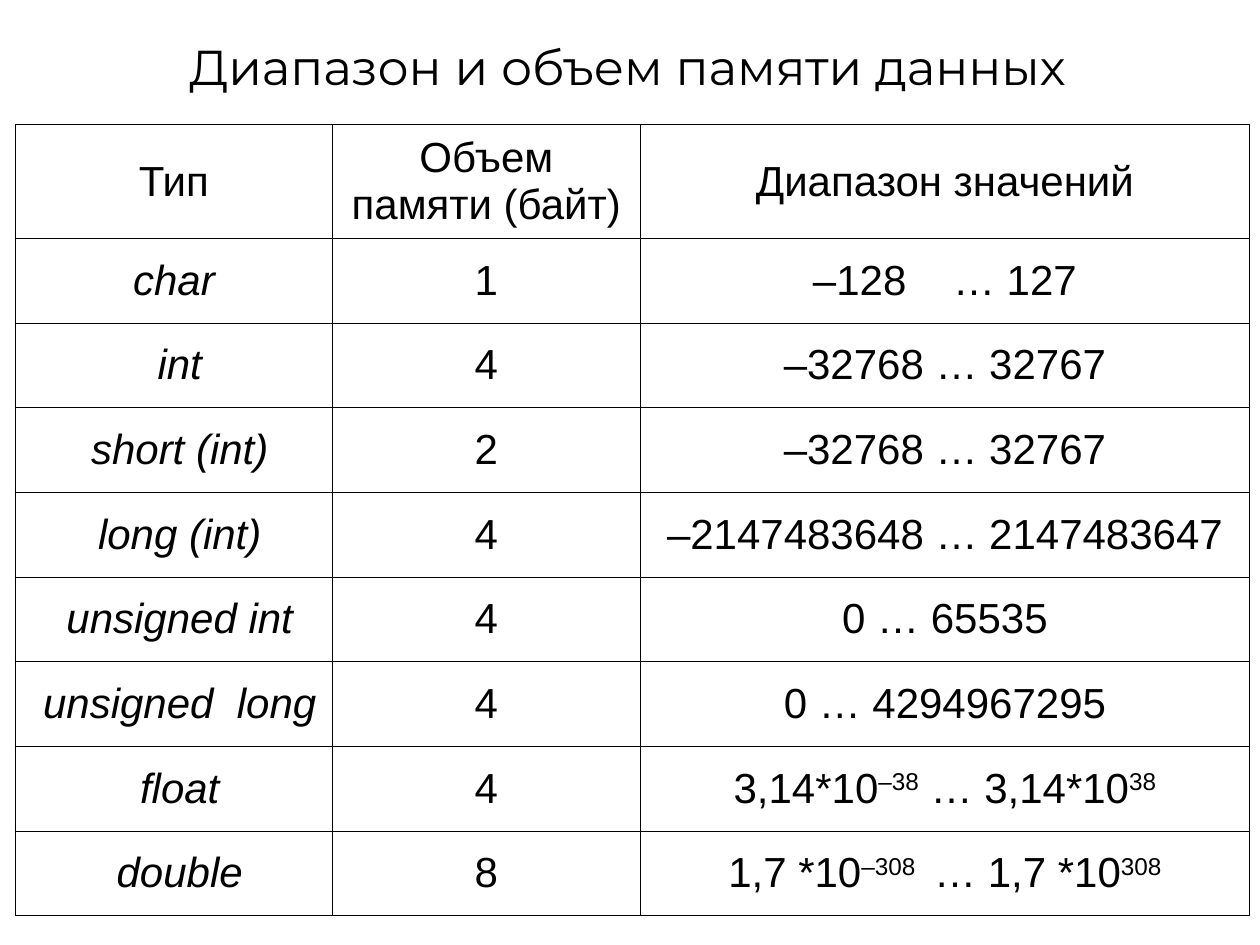
import dataclasses
import typing

import lxml.etree
import pptx
import pptx.dml.color
import pptx.enum.text
import pptx.oxml.ns
import pptx.util

WIDE, HIGH = 10, 7.5
INK = "000000"
SPACE = 6.67


@dataclasses.dataclass
class Run:
    text: str
    base: int = 0
    gap: float = 0


@dataclasses.dataclass
class Entry:
    kind: str
    size: str
    span: list[Run]
    lead: float = SPACE


def power(num: str, exp: str, gap: float = 0) -> list[Run]:
    return [Run(f"{num}*10"), Run(f"–{exp}", 30), Run(" ", 0, gap),
            Run(f"… {num}*10"), Run(exp, 30)]


HEAD = ["Тип", "Объем памяти (байт)", "Диапазон значений"]
ROWS = [
    Entry("char", "1", [Run("–128"), Run(" ", 0, 3 * SPACE), Run("… 127")], 0),
    Entry("int", "4", [Run("–32768 … 32767")]),
    Entry("short (int)", "2", [Run("–32768 … 32767")]),
    Entry("long (int)", "4", [Run("–2147483648 … 2147483647")]),
    Entry("unsigned int", "4", [Run("0 … 65535")]),
    Entry("unsigned long", "4", [Run("0 … 4294967295")]),
    Entry("float", "4", power("3,14", "38")),
    Entry("double", "8", power("1,7 ", "308", 4)),
]
COLS = [0.252, 0.244, 0.484]
TOP, TALL, FIRST = 0.132, 0.837, 0.12


def hue(code: str) -> pptx.dml.color.RGBColor:
    return pptx.dml.color.RGBColor.from_string(code)


def across(part: float) -> int:
    return pptx.util.Inches(part * WIDE)


def down(part: float) -> int:
    return pptx.util.Inches(part * HIGH)


def assign(item: typing.Any, form: dict[str, typing.Any]) -> None:
    for name, value in form.items():
        setattr(item, name, value)


def write(para: typing.Any, runs: list[Run], form: dict[str, typing.Any]) -> None:
    para.alignment = pptx.enum.text.PP_ALIGN.CENTER
    for part in runs:
        run = para.add_run()
        run.text = part.text
        assign(run.font, form)
        run.font.color.rgb = hue(INK)
        props = run.font._element
        if part.base:
            props.set("baseline", str(part.base * 1000))
        if part.gap:
            props.set("spc", str(round(part.gap * 100)))


def border(cell: typing.Any) -> None:
    props = cell._tc.get_or_add_tcPr()
    for spot, side in enumerate(("lnL", "lnR", "lnT", "lnB")):
        line = lxml.etree.Element(pptx.oxml.ns.qn(f"a:{side}"), w=str(pptx.util.Pt(0.45)))
        fill = lxml.etree.SubElement(line, pptx.oxml.ns.qn("a:solidFill"))
        lxml.etree.SubElement(fill, pptx.oxml.ns.qn("a:srgbClr"), val=INK)
        props.insert(spot, line)


def fill(cell: typing.Any, runs: list[Run], slant: bool = False, lead: float = 0) -> None:
    assign(cell, {"vertical_anchor": pptx.enum.text.MSO_ANCHOR.MIDDLE,
                  "margin_left": pptx.util.Pt(7.2 + lead)})
    cell.fill.background()
    border(cell)
    write(cell.text_frame.paragraphs[0], runs,
          {"name": "Arial", "size": pptx.util.Pt(24), "italic": slant})


def title(slide: typing.Any) -> None:
    box = slide.shapes.add_textbox(across(0.008), down(0.028), across(0.98), down(0.073))
    frame = box.text_frame
    assign(frame, {"word_wrap": True, "margin_top": pptx.util.Inches(0.08),
                   "margin_bottom": 0,
                   "vertical_anchor": pptx.enum.text.MSO_ANCHOR.MIDDLE,
                   "auto_size": pptx.enum.text.MSO_AUTO_SIZE.SHAPE_TO_FIT_TEXT})
    write(frame.paragraphs[0], [Run("Диапазон и объем памяти данных")],
          {"name": "Montserrat", "size": pptx.util.Pt(28)})


def table(slide: typing.Any) -> None:
    grid = slide.shapes.add_table(len(ROWS) + 1, len(COLS), across(0.012), down(TOP),
                                  across(sum(COLS)), down(TALL)).table
    assign(grid, {"first_row": False, "horz_banding": False})
    for col, part in zip(grid.columns, COLS):
        col.width = across(part)
    for num, row in enumerate(grid.rows):
        row.height = down((TALL - FIRST) / len(ROWS) if num else FIRST)
    for col, text in enumerate(HEAD):
        fill(grid.cell(0, col), [Run(text)])
    for num, entry in enumerate(ROWS, 1):
        words = entry.kind.split(" ")
        runs = [Run(entry.kind)]
        if entry.kind == "unsigned long":
            runs = [Run(words[0]), Run(" ", 0, SPACE), Run(words[1])]
        fill(grid.cell(num, 0), runs, True, entry.lead)
        fill(grid.cell(num, 1), [Run(entry.size)])
        fill(grid.cell(num, 2), entry.span)


def main() -> None:
    deck = pptx.Presentation()
    assign(deck, {"slide_width": across(1), "slide_height": down(1)})
    slide = deck.slides.add_slide(deck.slide_layouts[6])
    title(slide)
    table(slide)
    deck.save("out.pptx")


if __name__ == "__main__":
    main()
